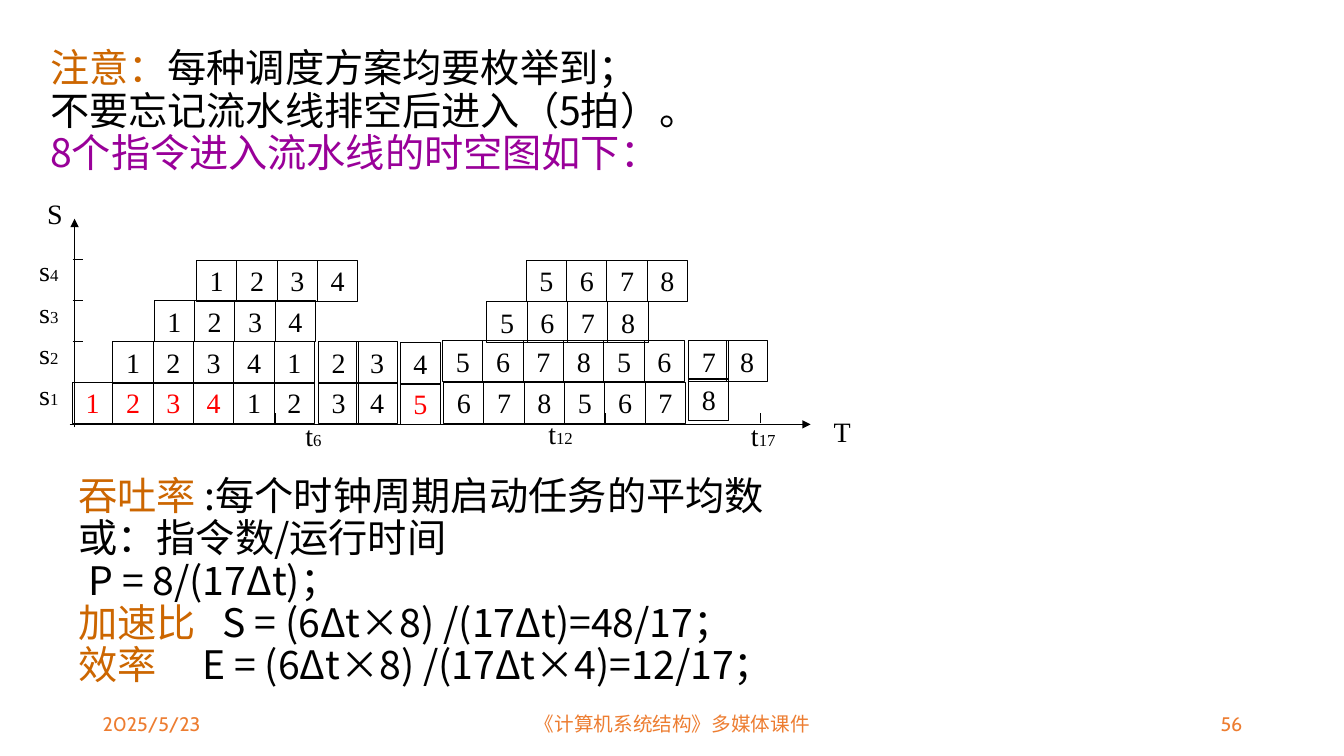
from lxml.etree import SubElement as Sub
from pptx import Presentation
from pptx.dml.color import RGBColor as Rgb
from pptx.enum.shapes import MSO_CONNECTOR as Link, MSO_SHAPE as Shape
from pptx.enum.text import MSO_ANCHOR as Anchor, MSO_AUTO_SIZE as Fit, PP_ALIGN as Align
from pptx.oxml.ns import qn
from pptx.util import Pt

PX = 9144
INK = {"black": "000000", "red": "FF0000", "brown": "CC6600",
       "purple": "990099", "orange": "ED7D31"}
TIMES = "Times New Roman"
SANS = "Noto Sans CJK SC"
CABIN = "Cabin"
NOTE = [
    [("注意：", "brown", TIMES), ("每种调度方案均要枚举到；", "black", TIMES)],
    [("不要忘记流水线排空后进入（5拍）。", "black", SANS)],
    [("8个指令进入流水线的时空图如下：", "purple", SANS)],
]
RATES = [
    [("吞吐率 ", "brown", SANS), (":每个时钟周期启动任务的平均数", "black", SANS)],
    [("或：指令数/运行时间", "black", SANS)],
    [("P = 8/(17Δt)；", "black", SANS)],
    [("加速比\t", "brown", SANS), ("S = (6Δt×8) /(17Δt)=48/17；", "black", SANS)],
    [("效率\t", "brown", SANS), ("E = (6Δt×8) /(17Δt×4)=12/17；", "black", SANS)],
]
CELL = (40, 41)
RUNS = [
    (50, 189, 40, "1234", "red"), (210, 189, 40, "12", "black"),
    (294, 189, 38, "34", "black"), (375, 190, 40, "5", "red"),
    (418, 189, 40, "678567", "black"), (661, 186, 40, "8", "black"),
    (90, 149, 40, "12341", "black"), (294, 149, 38, "23", "black"),
    (375, 150, 40, "4", "black"), (417, 148, 40, "567856", "black"),
    (661, 148, 38, "78", "black"),
    (131, 108, 40, "1234", "black"), (461, 109, 40, "5678", "black"),
    (173, 68, 40, "1234", "black"), (500, 68, 40, "5678", "black"),
]
MARKS = [
    (15, 0, 35, "S", ""), (795, 216, 37, "T", ""), (271, 220, 36, "t", "6"),
    (512, 218, 52, "t", "12"), (713, 220, 52, "t", "17"),
]


def put(obj, form):
    for key, val in form.items():
        setattr(obj, key, val)


def emu(*box):
    return [n * PX for n in box]


def write(para, text, size, ink="black", face=TIMES):
    run = para.add_run()
    run.text = text
    put(run.font, {"size": Pt(size), "name": face})
    run.font.color.rgb = Rgb.from_string(INK[ink])
    Sub(run.font._element, qn("a:ea"), typeface=SANS)


def frame(slide, box, form):
    body = slide.shapes.add_textbox(*emu(*box)).text_frame
    put(body, form)
    return body


def notes(slide, box, lines, tabs={}, dents={}):
    body = frame(slide, box, {"word_wrap": True})
    for i, line in enumerate(lines):
        para = body.paragraphs[0] if i == 0 else body.add_paragraph()
        para.line_spacing = Pt(30.3)
        props = para._p.get_or_add_pPr()
        if i in dents:
            props.set("marL", str(dents[i] * PX))
        if i in tabs:
            stops = Sub(props, qn("a:tabLst"))
            Sub(stops, qn("a:tab"), pos=str(tabs[i] * PX), algn="l")
        for text, ink, face in line:
            write(para, text, 28, ink, face)


def line(slide, ends, arrow=False):
    wire = slide.shapes.add_connector(Link.STRAIGHT, *emu(*ends))
    wire.line.width = Pt(0.75)
    wire.line.color.rgb = Rgb.from_string(INK["black"])
    if arrow:
        Sub(wire.line._get_or_add_ln(), qn("a:tailEnd"), type="triangle")
    Sub(wire._element.spPr, qn("a:effectLst"))


def cell(slide, box, text, ink):
    rect = slide.shapes.add_shape(Shape.RECTANGLE, *emu(*box))
    rect.shadow.inherit = False
    rect.fill.background()
    rect.line.width = Pt(0.75)
    rect.line.color.rgb = Rgb.from_string(INK["black"])
    body = rect.text_frame
    put(body, {"word_wrap": False, "vertical_anchor": Anchor.MIDDLE})
    para = body.paragraphs[0]
    para.alignment = Align.CENTER
    write(para, text, 20, ink)


def mark(slide, box, text, sub):
    form = {"word_wrap": True, "auto_size": Fit.NONE}
    para = frame(slide, box, form).paragraphs[0]
    write(para, text, 20)
    if sub:
        write(para, sub, 12)


def chart(slide, left, top):
    for x, y, step, text, ink in RUNS:
        for i, digit in enumerate(text):
            cell(slide, (left + x + i * step, top + y, *CELL), digit, ink)
    for i in range(3):
        y = top + 67 + i * 41
        line(slide, (left + 50, y, left + 60, y))
    for x in (251, 579, 732):
        line(slide, (left + x, top + 230, left + x, top + 220))
    line(slide, (left + 52, top + 234, left + 52, top + 27), True)
    line(slide, (left + 47, top + 231, left + 782, top + 231), True)
    stages = [(7, 57 + i * 41, 42, "s", str(4 - i)) for i in range(4)]
    for x, y, wide, text, sub in MARKS + stages:
        mark(slide, (left + x, top + y, wide, 44), text, sub)


def footer(slide, left, top):
    parts = [
        (0, 300, "2025/5/23", Align.LEFT),
        (350, 450, "《计算机系统结构》多媒体课件", Align.CENTER),
        (850, 300, "56", Align.RIGHT),
    ]
    for x, wide, text, side in parts:
        form = {"word_wrap": True, "vertical_anchor": Anchor.BOTTOM}
        para = frame(slide, (left + x, top, wide, 40), form).paragraphs[0]
        para.alignment = side
        write(para, text, 14, "orange", CABIN)


def main():
    deck = Presentation()
    put(deck, {"slide_width": 1333 * PX, "slide_height": 750 * PX})
    slide = deck.slides.add_slide(deck.slide_layouts[6])
    footer(slide, 92, 695)
    notes(slide, (40, 43, 1150, 476), NOTE)
    chart(slide, 22, 190)
    notes(slide, (68, 467, 1150, 476), RATES, {3: 143, 4: 123}, {2: 10})
    deck.save("out.pptx")


if __name__ == "__main__":
    main()
